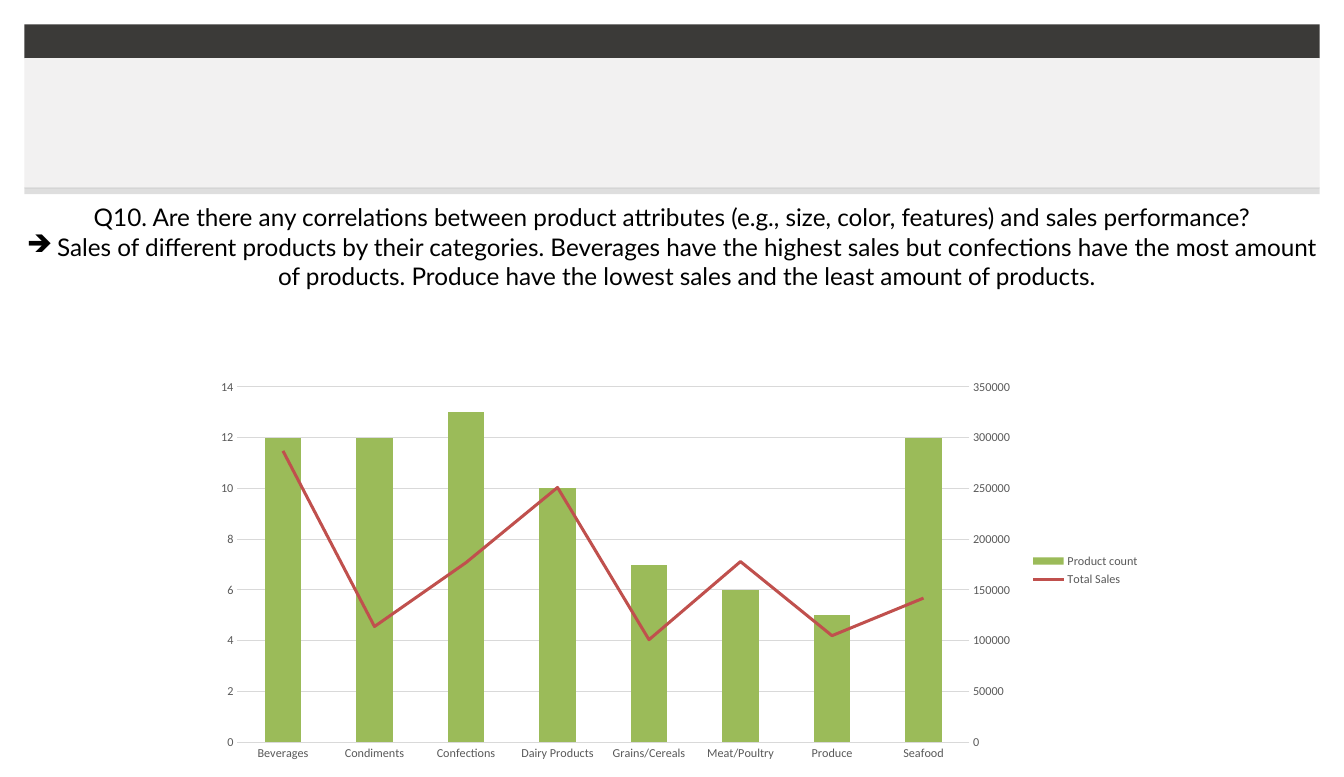
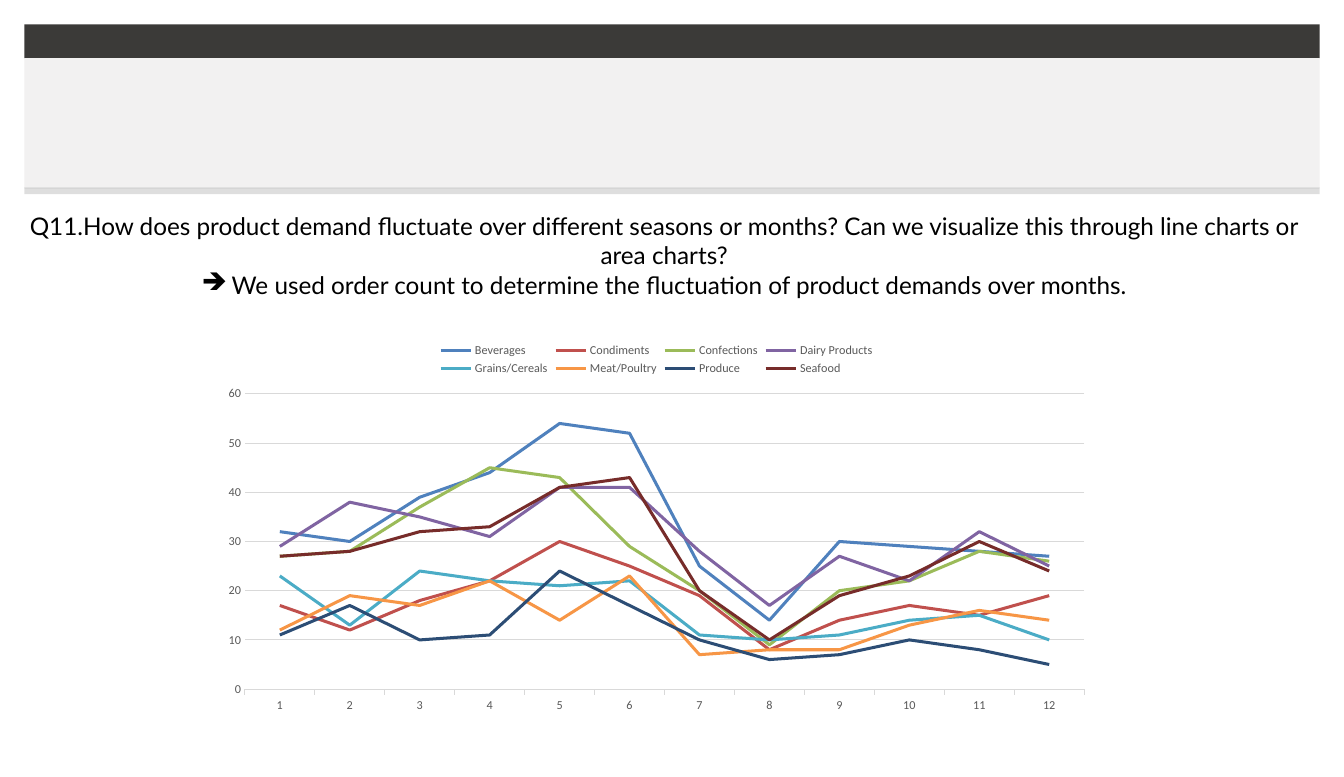
from copy import deepcopy

from lxml.etree import SubElement
from pptx import Presentation
from pptx.chart.data import CategoryChartData
from pptx.dml.color import RGBColor
from pptx.enum.chart import (XL_CHART_TYPE as ChartType, XL_LEGEND_POSITION as LegendAt,
                             XL_MARKER_STYLE as Marker, XL_TICK_MARK as Tick)
from pptx.enum.shapes import MSO_SHAPE as Shape
from pptx.enum.text import MSO_ANCHOR as Anchor, PP_ALIGN as Align
from pptx.oxml.ns import qn
from pptx.util import Inches, Pt

BLACK = RGBColor(0x00, 0x00, 0x00)
WHITE = RGBColor(0xFF, 0xFF, 0xFF)
CHARCOAL = RGBColor(0x3B, 0x3A, 0x38)
PALE = RGBColor(0xF2, 0xF1, 0xF1)
LABEL_GRAY = RGBColor(0x59, 0x59, 0x59)
GRID_GRAY = RGBColor(0xD9, 0xD9, 0xD9)
BLUE = RGBColor(0x4F, 0x81, 0xBD)
RED = RGBColor(0xC0, 0x50, 0x4D)
GREEN = RGBColor(0x9B, 0xBB, 0x59)
PURPLE = RGBColor(0x80, 0x64, 0xA2)
TEAL = RGBColor(0x4B, 0xAC, 0xC6)
ORANGE = RGBColor(0xF7, 0x96, 0x46)
NAVY = RGBColor(0x2C, 0x4D, 0x75)
MAROON = RGBColor(0x77, 0x2C, 0x2A)

# Shared look
BAND_LEFT, BAND_WIDTH = 0.25, 13.33
BANDS = [  # top, height, colour, opacity in percent
    (0.25, 0.35, CHARCOAL, 100),
    (0.6, 0.01, BLACK, 11),
    (1.93, 0.01, BLACK, 11),
    (1.93, 0.07, BLACK, 13),
    (0.6, 1.33, PALE, 100),
]
QUESTION_FONT = {"name": "Lato", "size": Pt(18)}
CHART_FONT = {"name": "Calibri", "size": Pt(10)}
LABEL_FONT = {"name": "Calibri", "size": Pt(9)}
CELL_FORMAT = {
    "vertical_anchor": Anchor.BOTTOM, "margin_left": Inches(0.01),
    "margin_right": Inches(0.01), "margin_top": Inches(0.01), "margin_bottom": 0,
}
QUESTION_HEIGHT = 0.91
HANGING = 0.31

# Content
CATEGORIES = ["Beverages", "Condiments", "Confections", "Dairy Products",
              "Grains/Cereals", "Meat/Poultry", "Produce", "Seafood"]
MONTHS = [str(month) for month in range(1, 13)]

SALES = {
    "question": "Q10. Are there any correlations between product attributes "
                "(e.g., size, color, features) and sales performance?",
    "answer": "Sales of different products by their categories. Beverages have the highest "
              "sales but confections have the most amount of products. Produce have the "
              "lowest sales and the least amount of products.",
    "question_at": (0.25, 2.08),
    "chart_at": (2.08, 3.83, 9.75, 4.08),
    "type": ChartType.COLUMN_CLUSTERED,
    "legend": LegendAt.RIGHT,
    "tick": Tick.NONE,
    "labels": CATEGORIES,
    "series": [
        ("Product count", GREEN, [12, 12, 13, 10, 7, 6, 5, 12]),
        ("Total Sales", RED,
         [287000, 114000, 177000, 251000, 101000, 178000, 105000, 142000]),
    ],
}
DEMAND_COLORS = [BLUE, RED, GREEN, PURPLE, TEAL, ORANGE, NAVY, MAROON]
MONTHLY_ORDERS = [
    [32, 30, 39, 44, 54, 52, 25, 14, 30, 29, 28, 27],
    [17, 12, 18, 22, 30, 25, 19, 8, 14, 17, 15, 19],
    [27, 28, 37, 45, 43, 29, 20, 9, 20, 22, 28, 26],
    [29, 38, 35, 31, 41, 41, 28, 17, 27, 22, 32, 25],
    [23, 13, 24, 22, 21, 22, 11, 10, 11, 14, 15, 10],
    [12, 19, 17, 22, 14, 23, 7, 8, 8, 13, 16, 14],
    [11, 17, 10, 11, 24, 17, 10, 6, 7, 10, 8, 5],
    [27, 28, 32, 33, 41, 43, 20, 10, 19, 23, 30, 24],
]
DEMAND = {
    "question": "Q11.How does product demand fluctuate over different seasons or months? "
                "Can we visualize this through line charts or area charts?",
    "answer": "We used order count to determine the fluctuation of product demands over months.",
    "question_at": (0.17, 2.17),
    "chart_at": (2.17, 3.42, 9.17, 4),
    "type": ChartType.LINE,
    "legend": LegendAt.TOP,
    "tick": Tick.OUTSIDE,
    "labels": MONTHS,
    "series": list(zip(CATEGORIES, DEMAND_COLORS, MONTHLY_ORDERS)),
}


def set_all(target, values):
    for key, value in values.items():
        setattr(target, key, value)


def set_font(font, values, color):
    set_all(font, values)
    font.color.rgb = color


def set_line(line, color, width):
    line.color.rgb = color
    line.width = Pt(width)


def add_bands(slide):
    for top, height, color, opacity in BANDS:
        band = slide.shapes.add_shape(Shape.RECTANGLE, Inches(BAND_LEFT), Inches(top),
                                      Inches(BAND_WIDTH), Inches(height))
        band.shadow.inherit = False
        band.line.fill.background()
        band.fill.solid()
        band.fill.fore_color.rgb = color
        if opacity < 100:
            tint = band.fill._xPr.find(".//" + qn("a:srgbClr"))
            SubElement(tint, qn("a:alpha"), val=str(opacity * 1000))


def add_question(slide, content):
    left, top = content["question_at"]
    table = slide.shapes.add_table(1, 1, Inches(left), Inches(top), Inches(BAND_WIDTH),
                                   Inches(QUESTION_HEIGHT)).table
    set_all(table, {"first_row": False, "horz_banding": False})
    cell = table.cell(0, 0)
    set_all(cell, CELL_FORMAT)

    # White borders go ahead of the fill
    properties = cell._tc.get_or_add_tcPr()
    for side in ("lnL", "lnR", "lnT", "lnB"):
        border = SubElement(properties, qn("a:" + side), w=str(Pt(1)))
        paint = SubElement(border, qn("a:solidFill"))
        SubElement(paint, qn("a:srgbClr"), val=str(WHITE))
    cell.fill.solid()
    cell.fill.fore_color.rgb = WHITE

    frame = cell.text_frame
    question, answer = frame.paragraphs[0], frame.add_paragraph()
    for paragraph, words in ((question, content["question"]), (answer, content["answer"])):
        paragraph.alignment = Align.CENTER
        run = paragraph.add_run()
        run.text = words
        set_font(run.font, QUESTION_FONT, BLACK)

    # Arrow bullet on the answer
    bullet = answer._p.get_or_add_pPr()
    bullet.set("marL", str(Inches(HANGING)))
    bullet.set("indent", str(-Inches(HANGING)))
    SubElement(bullet, qn("a:buChar"), char="➔")


def add_chart(slide, content):
    data = CategoryChartData(number_format="General")
    data.categories = content["labels"]
    for name, _, values in content["series"]:
        data.add_series(name, values)
    place = [Inches(length) for length in content["chart_at"]]
    chart = slide.shapes.add_chart(content["type"], *place, data).chart
    chart.has_title = False
    set_font(chart.font, CHART_FONT, BLACK)

    chart.has_legend = True
    set_all(chart.legend, {"position": content["legend"], "include_in_layout": False})
    set_font(chart.legend.font, LABEL_FONT, LABEL_GRAY)

    months_or_groups, amounts = chart.category_axis, chart.value_axis
    for axis, tick in ((months_or_groups, content["tick"]), (amounts, Tick.NONE)):
        set_all(axis, {"major_tick_mark": tick, "minor_tick_mark": Tick.NONE})
        set_font(axis.tick_labels.font, LABEL_FONT, LABEL_GRAY)
    set_line(months_or_groups.format.line, GRID_GRAY, 0.75)
    amounts.format.line.fill.background()
    amounts.has_major_gridlines = True
    set_line(amounts.major_gridlines.format.line, GRID_GRAY, 0.75)
    return chart


def drop(parent, tag):
    for child in parent.findall(qn(tag)):
        parent.remove(child)


def move_last_to_right_axis(chart):
    """Turn the last column series into a line with its own axis on the right."""
    area = chart._chartSpace.chart.plotArea
    columns = area.find(qn("c:barChart"))
    sales = columns.findall(qn("c:ser"))[-1]
    drop(sales, "c:invertIfNegative")

    line = area.makeelement(qn("c:lineChart"))
    columns.addnext(line)
    SubElement(line, qn("c:grouping"), val="standard")
    SubElement(line, qn("c:varyColors"), val="0")
    line.append(sales)
    SubElement(line, qn("c:marker"), val="1")

    groups, counts = area.find(qn("c:catAx")), area.find(qn("c:valAx"))
    right, hidden = deepcopy(counts), deepcopy(groups)
    counts.addnext(right)
    right.addnext(hidden)
    drop(right, "c:majorGridlines")
    group_id, sales_id = "50010", "50020"
    changes = [
        (hidden, {"axId": group_id, "crossAx": sales_id, "delete": "1"}),
        (right, {"axId": sales_id, "crossAx": group_id, "axPos": "r", "crosses": "max"}),
    ]
    for axis, values in changes:
        for tag, value in values.items():
            axis.find(qn("c:" + tag)).set("val", value)
        SubElement(line, qn("c:axId"), val=values["axId"])


def color_series(chart, content):
    every_series = [series for plot in chart.plots for series in plot.series]
    for plot in chart.plots:
        plot.vary_by_categories = False
    for series, (_, color, _) in zip(every_series, content["series"]):
        if hasattr(series, "smooth"):
            series.smooth = False
            series.marker.style = Marker.NONE
            set_line(series.format.line, color, 2.25)
        else:
            series.format.fill.solid()
            series.format.fill.fore_color.rgb = color


def main():
    deck = Presentation()
    set_all(deck, {"slide_width": Inches(13.83), "slide_height": Inches(8)})
    for content in (SALES, DEMAND):
        slide = deck.slides.add_slide(deck.slide_layouts[6])
        add_bands(slide)
        add_question(slide, content)
        chart = add_chart(slide, content)
        if content is SALES:
            move_last_to_right_axis(chart)
            chart.plots[0].gap_width = 150
        color_series(chart, content)
    deck.save("out.pptx")


if __name__ == "__main__":
    main()
